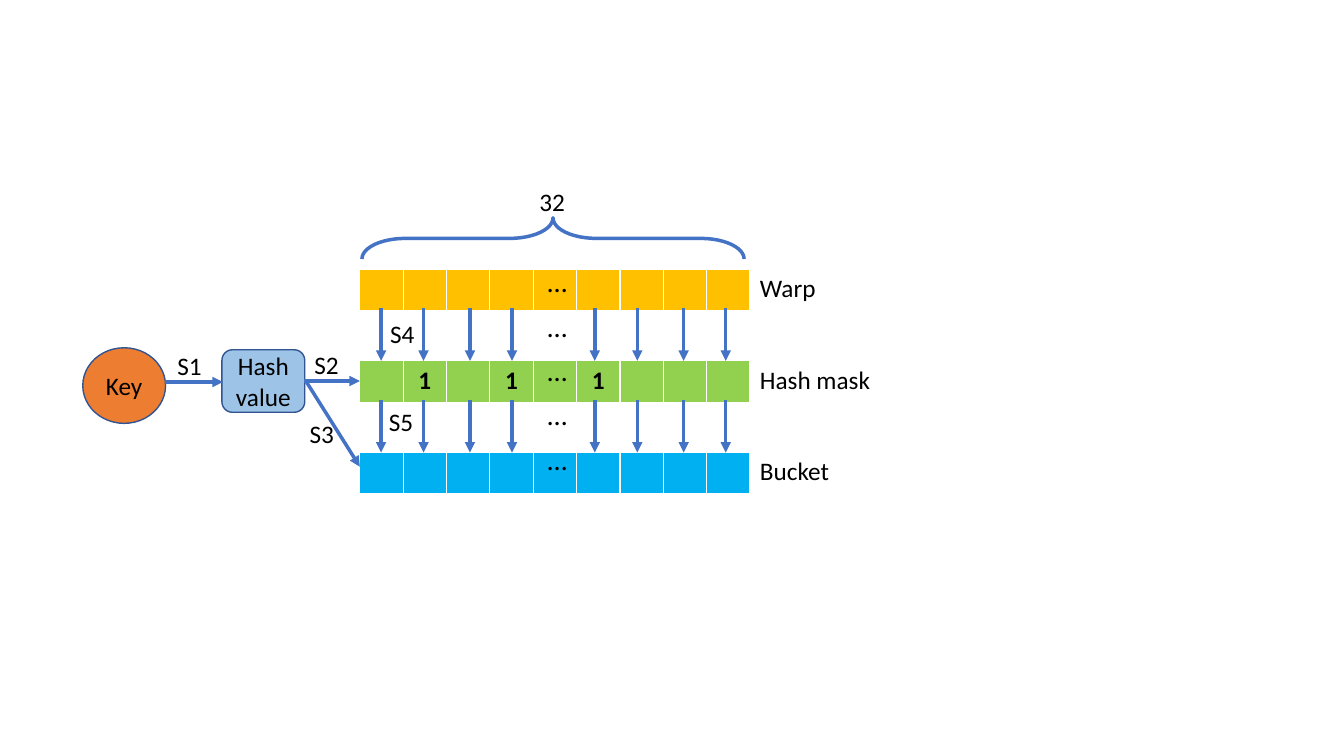
from dataclasses import dataclass

from lxml.etree import SubElement
from pptx import Presentation
from pptx.dml.color import RGBColor
from pptx.enum.shapes import MSO_CONNECTOR, MSO_SHAPE
from pptx.enum.text import MSO_AUTO_SIZE, PP_ALIGN
from pptx.oxml.ns import qn
from pptx.util import Inches, Pt


@dataclass(frozen=True)
class Theme:
    """Colours, font and type sizes of the slide."""
    font: str = "Calibri"
    body: int = 18
    dots: int = 20
    ink: str = "000000"
    arrow: str = "4472C4"
    edge: str = "325491"
    key: str = "ED7D31"
    hash: str = "9DC3E6"
    warp: str = "FFC000"
    mask: str = "92D050"
    bucket: str = "00B0F0"


theme = Theme()
deck = Presentation()
deck.slide_width, deck.slide_height = Inches(13.33), Inches(7.5)
slide = deck.slides.add_slide(deck.slide_layouts[6])
shapes = slide.shapes

# The slide is a grid of 31 columns and 75 rows
COL = deck.slide_width / 31
ROW = deck.slide_height / 75
LEFT, CELLS, TALL, PITCH = 8.3, 9, 4.1, 9.1
TOP = 26.7


def write(para, text, size=theme.body, bold=False):
    """Add one run of text to a paragraph."""
    run = para.add_run()
    run.text = text
    run.font.name = theme.font
    run.font.size = Pt(size)
    run.font.bold = bold
    run.font.color.rgb = RGBColor.from_string(theme.ink)


def arrow(x1, y1, x2, y2):
    """Draw an arrow between two points of the grid."""
    line = shapes.add_connector(
        MSO_CONNECTOR.STRAIGHT,
        int(x1 * COL), int(y1 * ROW), int(x2 * COL), int(y2 * ROW))
    line.line.color.rgb = RGBColor.from_string(theme.arrow)
    line.line.width = Pt(2.5)
    SubElement(line.line._get_or_add_ln(), qn("a:tailEnd"), type="triangle")
    SubElement(line._element.spPr, qn("a:effectLst"))


# Key and hash value
nodes = [
    ("Key", MSO_SHAPE.OVAL, theme.key, 1.91, 34.5, 7.5),
    ("Hash value", MSO_SHAPE.ROUNDED_RECTANGLE, theme.hash, 5.12, 34.7, 6.2),
]
for text, kind, fill, x, y, high in nodes:
    node = shapes.add_shape(
        kind, int(x * COL), int(y * ROW), int(1.91 * COL), int(high * ROW))
    node.shadow.inherit = False
    node.fill.solid()
    node.fill.fore_color.rgb = RGBColor.from_string(fill)
    node.line.color.rgb = RGBColor.from_string(theme.edge)
    node.line.width = Pt(1)
    para = node.text_frame.paragraphs[0]
    para.alignment = PP_ALIGN.CENTER
    write(para, text)

# Warp, hash mask and bucket bands
bands = [(theme.warp, ()), (theme.mask, (1, 3, 5)), (theme.bucket, ())]
for step, (fill, ones) in enumerate(bands):
    table = shapes.add_table(
        1, CELLS, int(LEFT * COL), int((TOP + step * PITCH) * ROW),
        int(CELLS * COL), int(TALL * ROW)).table
    for spot, cell in enumerate(table.rows[0].cells):
        cell.fill.solid()
        cell.fill.fore_color.rgb = RGBColor.from_string(fill)
        if spot in ones:
            para = cell.text_frame.paragraphs[0]
            para.alignment = PP_ALIGN.CENTER
            write(para, "1", bold=True)

# Arrows from the key to the bands
arrow(3.81, 37.9, 5.14, 37.9)
arrow(7.02, 37.8, LEFT, 37.8)
arrow(7.07, 37.9, LEFT, 46.3)

# Arrows between the bands, four on each side of the dots
for y in (30.6, 30.6 + PITCH):
    for half in (0, 4.93):
        for x in (8.79, 9.77, 10.84, 11.81):
            arrow(x + half, y, x + half, y + 5.2)

# Step labels, count and dots
marks = [
    ("S1", 3.86, 34.3), ("S2", 7.02, 34.2), ("S3", 6.91, 41),
    ("S4", 8.77, 31.1), ("S5", 8.74, 39.8), ("32", 12.21, 18),
]
marks += [("…", 12.4, y) for y in (25.8, 30.2, 34.6, 38.9, 43.4)]
for text, x, y in marks:
    dots = text == "…"
    wide, high = (0.7, 4.4) if dots else (1.05, 4)
    box = shapes.add_textbox(
        int(x * COL), int(y * ROW), int(wide * COL), int(high * ROW))
    box.text_frame.word_wrap = dots
    box.text_frame.auto_size = MSO_AUTO_SIZE.SHAPE_TO_FIT_TEXT
    write(box.text_frame.paragraphs[0], text,
          theme.dots if dots else theme.body)

# Band names
names = shapes.add_textbox(
    int((LEFT + CELLS) * COL), int(26.5 * ROW), int(3 * COL), int(22.2 * ROW))
frame = names.text_frame
frame.word_wrap = False
frame.auto_size = MSO_AUTO_SIZE.SHAPE_TO_FIT_TEXT
for step, text in enumerate(("Warp", "Hash mask", "Bucket")):
    para = frame.add_paragraph() if step else frame.paragraphs[0]
    para.space_before = Pt(44 if step else 0)
    write(para, text)

# Brace over the warp
brace = shapes.add_shape(
    MSO_SHAPE.RIGHT_BRACE, int(12.28 * COL), int(4.7 * ROW),
    int(0.95 * COL), int(37.9 * ROW))
brace.rotation = 270
brace.adjustments[0] = 1.05
brace.adjustments[1] = 0.5
brace.shadow.inherit = False
brace.fill.background()
brace.line.color.rgb = RGBColor.from_string(theme.arrow)
brace.line.width = Pt(2.5)

deck.save("out.pptx")
